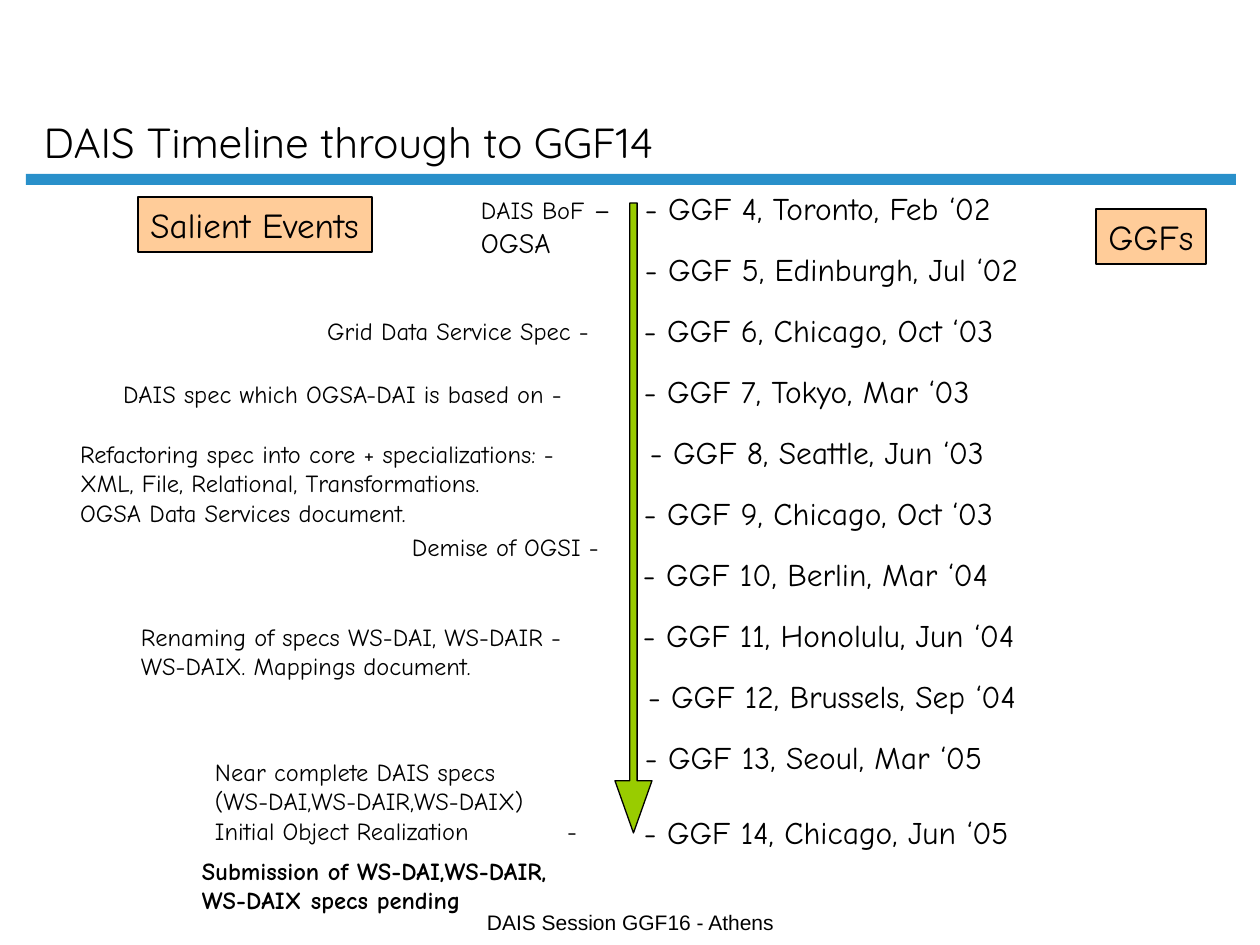
from dataclasses import dataclass

from lxml.etree import SubElement
from pptx import Presentation
from pptx.dml.color import RGBColor
from pptx.enum.shapes import MSO_SHAPE
from pptx.enum.text import MSO_ANCHOR, PP_ALIGN
from pptx.oxml.ns import qn
from pptx.util import Emu, Pt

DPI = 126
COLORS = {"ink": "000000", "bar": "2990CA", "arrow": "99CC00", "label": "FFCC99"}
HAND = "Comic Neue"
ROW_TOP, ROW_STEP, LAST_TOP = 189, 61, 813
ROW_WIDTH, ROW_HEIGHT = 385, 38


@dataclass
class Box:
    left: int
    top: int
    width: int
    height: int


@dataclass
class Meeting:
    text: str
    left: int


@dataclass
class Event:
    """Each line is a list of (text, size) runs."""
    box: Box
    lines: list[list[tuple[str, int]]]
    bold: bool = False
    tab: int = 0


def px(num: int) -> Emu:
    return Emu(round(num * 914400 / DPI))


def place(box: Box) -> tuple[Emu, ...]:
    return px(box.left), px(box.top), px(box.width), px(box.height)


def color(name: str) -> RGBColor:
    return RGBColor.from_string(COLORS[name])


def add_run(para, text: str, size: int, face: str = HAND, bold: bool = False) -> None:
    run = para.add_run()
    run.text = text
    run.font.size = Pt(size)
    run.font.name = face
    run.font.bold = bold
    run.font.color.rgb = color("ink")


def add_tab(para, pos: int) -> None:
    stops = SubElement(para._p.get_or_add_pPr(), qn("a:tabLst"))
    SubElement(stops, qn("a:tab"), pos=str(px(pos)), algn="l")


def add_shape(slide, kind: MSO_SHAPE, box: Box, fill: str, edge: bool = True):
    shape = slide.shapes.add_shape(kind, *place(box))
    shape.shadow.inherit = False
    shape.fill.solid()
    shape.fill.fore_color.rgb = color(fill)
    if edge:
        shape.line.color.rgb = color("ink")
        shape.line.width = Pt(0.75)
    else:
        shape.line.fill.background()
    return shape


def add_text(slide, box: Box):
    """Add an unwrapped text frame without insets."""
    frame = slide.shapes.add_textbox(*place(box)).text_frame
    frame.word_wrap = False
    frame.margin_left = frame.margin_right = 0
    frame.margin_top = frame.margin_bottom = 0
    return frame


def add_label(slide, text: str, box: Box) -> None:
    frame = add_shape(slide, MSO_SHAPE.RECTANGLE, box, "label").text_frame
    frame.word_wrap = False
    frame.vertical_anchor = MSO_ANCHOR.TOP
    para = frame.paragraphs[0]
    para.alignment = PP_ALIGN.LEFT
    add_run(para, text, 20)


def add_event(slide, event: Event) -> None:
    frame = add_text(slide, event.box)
    for i, line in enumerate(event.lines):
        para = frame.add_paragraph() if i else frame.paragraphs[0]
        if event.tab:
            add_tab(para, event.tab)
        for text, size in line:
            add_run(para, text, size, bold=event.bold)


def add_title(slide, text: str, box: Box) -> None:
    title = slide.shapes.title
    title.left, title.top, title.width, title.height = place(box)
    frame = title.text_frame
    frame.vertical_anchor = MSO_ANCHOR.BOTTOM
    para = frame.paragraphs[0]
    para.alignment = PP_ALIGN.LEFT
    add_run(para, text, 24, "Quicksand")


MEETINGS = [
    Meeting("GGF 4, Toronto, Feb ‘02", 645),
    Meeting("GGF 5, Edinburgh, Jul ‘02", 645),
    Meeting("GGF 6, Chicago, Oct ‘03", 644),
    Meeting("GGF 7, Tokyo, Mar ‘03", 644),
    Meeting("GGF 8, Seattle, Jun ‘03", 650),
    Meeting("GGF 9, Chicago, Oct ‘03", 644),
    Meeting("GGF 10, Berlin, Mar ‘04", 643),
    Meeting("GGF 11, Honolulu, Jun ‘04", 643),
    Meeting("GGF 12, Brussels, Sep ‘04", 648),
    Meeting("GGF 13, Seoul, Mar ‘05", 645),
    Meeting("GGF 14, Chicago, Jun ‘05", 644),
]

EVENTS = [
    Event(Box(481, 192, 134, 67), [[("DAIS BoF", 14), (" –", 16)], [("OGSA", 16)]]),
    Event(Box(327, 316, 270, 29), [[("Grid Data Service Spec -", 14)]]),
    Event(Box(123, 379, 448, 29), [[("DAIS spec which OGSA-DAI is based on -", 14)]]),
    Event(Box(80, 439, 484, 88), [
        [("Refactoring spec into core + specializations: -", 14)],
        [("XML, File, Relational, Transformations.", 14)],
        [("OGSA Data Services document.", 14)]]),
    Event(Box(412, 532, 194, 29), [[("Demise of OGSI -", 14)]]),
    Event(Box(141, 622, 428, 59), [
        [("Renaming of specs WS-DAI, WS-DAIR -", 14)],
        [("WS-DAIX. Mappings document.", 14)]]),
    Event(Box(215, 757, 370, 88), [
        [("Near complete DAIS specs", 14)],
        [("(WS-DAI,WS-DAIR,WS-DAIX)", 14)],
        [("Initial Object Realization\t-", 14)]], tab=352),
    Event(Box(202, 856, 352, 59), [
        [("Submission of WS-DAI,WS-DAIR,", 14)],
        [("WS-DAIX specs pending", 14)]], bold=True),
]


def main() -> None:
    deck = Presentation()
    deck.slide_width, deck.slide_height = px(1260), px(945)
    slide = deck.slides.add_slide(deck.slide_layouts[5])

    add_shape(slide, MSO_SHAPE.RECTANGLE, Box(26, 174, 1210, 11), "bar", edge=False)
    foot = add_text(slide, Box(487, 910, 296, 25))
    add_run(foot.paragraphs[0], "DAIS Session GGF16 - Athens", 12, "Arial")
    add_title(slide, "DAIS Timeline through to GGF14", Box(31, 15, 1079, 158))

    arrow = add_shape(slide, MSO_SHAPE.DOWN_ARROW, Box(615, 203, 37, 630), "arrow")
    arrow.adjustments[0] = 0.2
    arrow.adjustments[1] = 1.41

    tops = [ROW_TOP + ROW_STEP * i for i in range(len(MEETINGS) - 1)] + [LAST_TOP]
    for meet, top in zip(MEETINGS, tops):
        frame = add_text(slide, Box(meet.left, top, ROW_WIDTH, ROW_HEIGHT))
        add_run(frame.paragraphs[0], f"- {meet.text}", 18)
    for event in EVENTS:
        add_event(slide, event)

    add_label(slide, "Salient Events", Box(138, 197, 234, 55))
    add_label(slide, "GGFs", Box(1096, 209, 110, 55))
    deck.save("out.pptx")


if __name__ == "__main__":
    main()
